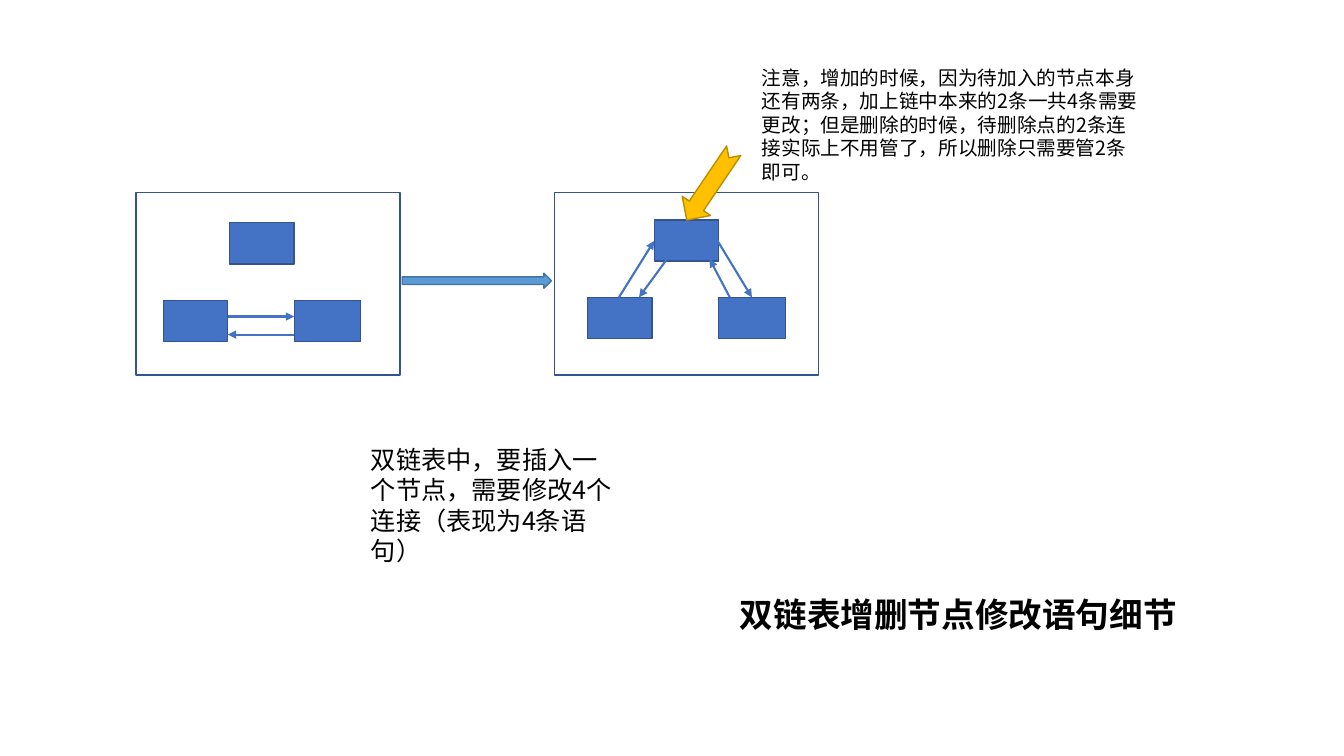
from lxml import etree
from pptx import Presentation, util as u
from pptx.dml.color import RGBColor
from pptx.enum import shapes, text
from pptx.oxml.ns import qn

Pt = u.Pt
COLORS = {
    "node": "4472C4", "node_line": "325491",
    "step": "5B9BD5", "step_line": "43739E",
    "pointer": "FFC000", "pointer_line": "BD8E00",
    "ink": "000000",
}
SHAPE = shapes.MSO_SHAPE


def rgb(name):
    return RGBColor.from_string(COLORS[name])


class SlideBuilder:
    """Holds the style and the current slide; all lengths are in points."""

    font = "Noto Sans CJK SC"
    outline = 1
    link_width = 1.5

    def __init__(self, slide):
        self.s = slide

    def shape(self, kind, x, y, w, h, fill, line, rotation=0):
        sp = self.s.shapes.add_shape(kind, Pt(x), Pt(y), Pt(w), Pt(h))
        sp.shadow.inherit = False
        sp.rotation = rotation
        if fill:
            sp.fill.solid()
            sp.fill.fore_color.rgb = rgb(fill)
        else:
            sp.fill.background()
        sp.line.color.rgb = rgb(line)
        sp.line.width = Pt(self.outline)

    def link(self, x1, y1, x2, y2):
        c = self.s.shapes.add_connector(
            shapes.MSO_CONNECTOR.STRAIGHT, Pt(x1), Pt(y1), Pt(x2), Pt(y2))
        c.line.color.rgb = rgb("node")
        c.line.width = Pt(self.link_width)
        ln = c._element.spPr.find(qn("a:ln"))
        etree.SubElement(ln, qn("a:tailEnd"), type="triangle")
        etree.SubElement(c._element.spPr, qn("a:effectLst"))

    def set_text(self, sp, words, size, bold=False):
        tf = sp.text_frame
        tf.word_wrap = True
        tf.auto_size = text.MSO_AUTO_SIZE.NONE
        tf.vertical_anchor = text.MSO_ANCHOR.TOP
        p = tf.paragraphs[0]
        p.alignment = text.PP_ALIGN.LEFT
        r = p.add_run()
        r.text = words
        r.font.size = Pt(size)
        r.font.bold = bold
        r.font.name = self.font
        r.font.color.rgb = rgb("ink")
        ea = etree.SubElement(r._r.get_or_add_rPr(), qn("a:ea"))
        ea.set("typeface", self.font)

    def note(self, x, y, w, h, words, size):
        sp = self.s.shapes.add_textbox(Pt(x), Pt(y), Pt(w), Pt(h))
        self.set_text(sp, words, size)

    def title(self, x, y, w, h, words, size):
        sp = self.s.shapes.title
        sp.left, sp.top, sp.width, sp.height = Pt(x), Pt(y), Pt(w), Pt(h)
        self.set_text(sp, words, size, bold=True)

    def list_panel(self, frame_x, nodes_x, nodes_y):
        """A frame with two list nodes below and the new node above them."""
        for dx, dy, w in ((0, 55.4, 46), (93.6, 55.4, 47.5), (47.5, 0, 46)):
            self.shape(SHAPE.RECTANGLE, nodes_x + dx, nodes_y + dy, w, 29.5,
                       "node", "node_line")
        self.shape(SHAPE.RECTANGLE, frame_x, 137.5, 188.6, 130.3,
                   None, "node_line")


def main():
    prs = Presentation()
    prs.slide_width, prs.slide_height = Pt(960), Pt(540)
    b = SlideBuilder(prs.slides.add_slide(prs.slide_layouts[5]))

    # Title
    b.title(521.3, 420.5, 337, 36, "双链表增删节点修改语句细节", 24)

    # List before and after the insertion
    b.list_panel(97.2, 116.6, 159.1)
    b.list_panel(396, 419.8, 157)

    # Links between the nodes
    for ends in (
        (162.7, 226.1, 210.2, 226.1), (210.2, 239, 162.7, 239),
        (442.1, 212.4, 467.3, 172.1), (475.9, 185.8, 456.5, 212.4),
        (512.6, 172.1, 537.1, 212.4), (521.3, 212.4, 506.9, 185),
    ):
        b.link(*ends)

    # Step arrow and pointer to the new node
    b.shape(SHAPE.RIGHT_ARROW, 287.3, 195.1, 106.6, 10.8, "step", "step_line")
    b.shape(SHAPE.NOTCHED_RIGHT_ARROW, 477.4, 120.2, 59.8, 24.5,
            "pointer", "pointer_line", 124.1)

    # Explanations
    b.note(257.8, 313.9, 189.4, 72.7,
           "双链表中，要插入一个节点，需要修改4个连接（表现为4条语句）", 18)
    b.note(537.1, 43.2, 283, 92.2,
           "注意，增加的时候，因为待加入的节点本身还有两条，加上链中本来的2条"
           "一共4条需要更改；但是删除的时候，待删除点的2条连接实际上不用管了，"
           "所以删除只需要管2条即可。", 14)

    prs.save("out.pptx")


if __name__ == "__main__":
    main()
